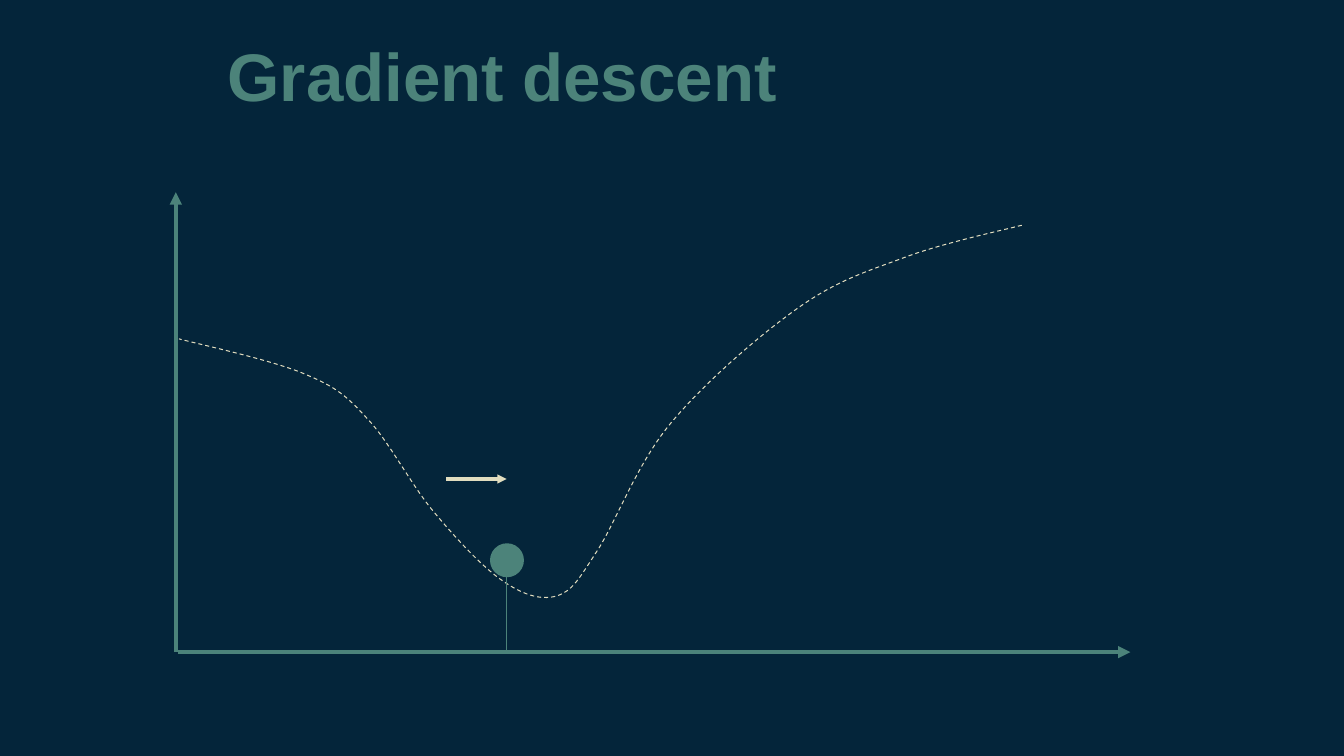
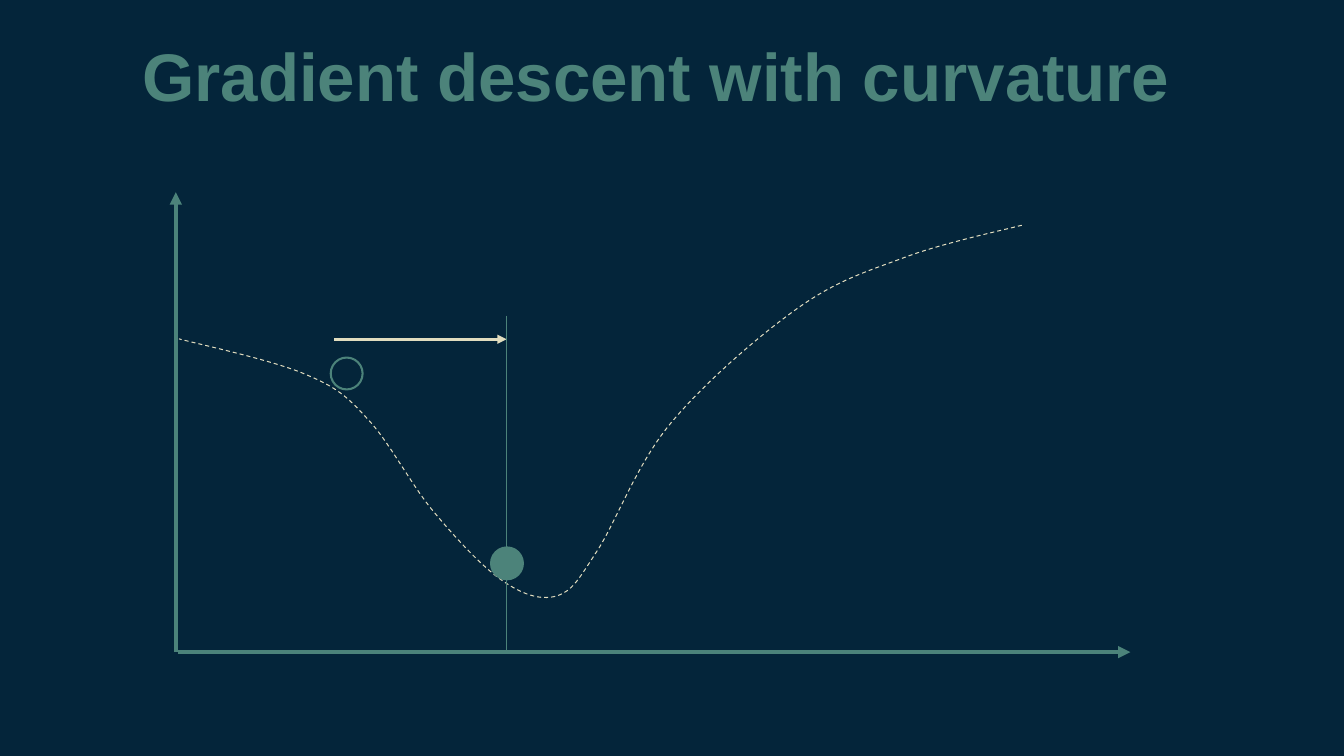
from pptx import Presentation
from pptx.dml.color import RGBColor
from pptx.enum.dml import MSO_LINE
from pptx.enum.shapes import MSO_CONNECTOR, MSO_SHAPE
from pptx.enum.text import MSO_ANCHOR, PP_ALIGN
from pptx.oxml.ns import qn
from pptx.util import Cm, Pt
from lxml.etree import SubElement

NAVY = RGBColor(0x04, 0x25, 0x3A)
TEAL = RGBColor(0x4C, 0x83, 0x7A)
CREAM = RGBColor(0xE1, 0xDD, 0xBF)

TITLE_FONT = {"name": "Arial", "size": Pt(49), "bold": True}
TITLE_FRAME = {
    "margin_left": Cm(0.36),
    "margin_right": Cm(0.36),
    "margin_top": Cm(0.36),
    "margin_bottom": Cm(0),
    "vertical_anchor": MSO_ANCHOR.TOP,
    "word_wrap": True,
}

AXIS_X = 4.52
AXIS_Y = 16.76
STEP_X = 13.02
BALL_SIZE = 0.82

CURVE_START = (26.26, 5.79)
CURVE_SEGMENTS = [
    ((25.76, 5.92), (24.13, 6.27), (23.16, 6.65)),
    ((22.17, 7.01), (21.41, 7.26), (20.42, 7.98)),
    ((19.43, 8.69), (18.06, 9.88), (17.22, 10.9)),
    ((16.36, 11.94), (15.82, 13.44), (15.34, 14.17)),
    ((14.86, 14.91), (14.71, 15.19), (14.3, 15.32)),
    ((13.87, 15.44), (13.39, 15.27), (12.85, 14.88)),
    ((12.32, 14.5), (11.63, 13.74), (11.07, 13.06)),
    ((10.52, 12.37), (9.98, 11.33), (9.45, 10.77)),
    ((8.92, 10.19), (8.66, 9.96), (7.87, 9.63)),
    ((7.06, 9.27), (5.16, 8.86), (4.6, 8.71)),
]


def set_values(target, values):
    for name, value in values.items():
        setattr(target, name, value)


def to_lengths(point):
    return tuple(Cm(value) for value in point)


def add_title(page, text, left, width):
    box = page.shapes.add_textbox(Cm(left), Cm(0.53), Cm(width), Cm(2.16))
    set_values(box.text_frame, TITLE_FRAME)
    para = box.text_frame.paragraphs[0]
    para.alignment = PP_ALIGN.LEFT
    span = para.add_run()
    span.text = text
    set_values(span.font, TITLE_FONT)
    span.font.color.rgb = TEAL


def add_line(page, start, end, color, weight, arrow=False):
    connector = page.shapes.add_connector(
        MSO_CONNECTOR.STRAIGHT, *to_lengths(start + end)
    )
    connector.line.color.rgb = color
    connector.line.width = Pt(weight)
    properties = connector._element.spPr
    if arrow:
        SubElement(properties.find(qn("a:ln")), qn("a:tailEnd"), type="triangle")
    SubElement(properties, qn("a:effectLst"))


def add_axes(page):
    add_line(page, (AXIS_X, AXIS_Y), (AXIS_X, 4.94), TEAL, 3, arrow=True)
    add_line(page, (4.57, AXIS_Y), (29.05, AXIS_Y), TEAL, 3, arrow=True)


def bend_segments(curve, segments):
    lines = list(curve._element.iter(qn("a:lnTo")))
    for line, segment in zip(lines, segments):
        outline = line.getparent()
        bend = SubElement(outline, qn("a:cubicBezTo"))
        for x, y in map(to_lengths, segment):
            SubElement(
                bend, qn("a:pt"), x=str(x - curve.left), y=str(y - curve.top)
            )
        outline.replace(line, bend)


def add_curve(page):
    builder = page.shapes.build_freeform(*to_lengths(CURVE_START))
    ends = [to_lengths(segment[-1]) for segment in CURVE_SEGMENTS]
    builder.add_line_segments(ends, close=False)
    curve = builder.convert_to_shape()
    bend_segments(curve, CURVE_SEGMENTS)
    curve.shadow.inherit = False
    curve.fill.background()
    curve.line.color.rgb = CREAM
    set_values(curve.line, {"width": Pt(0.75), "dash_style": MSO_LINE.DASH})


def add_ball(page, left, top, filled=True):
    ball = page.shapes.add_shape(
        MSO_SHAPE.OVAL, Cm(left), Cm(top), Cm(BALL_SIZE), Cm(BALL_SIZE)
    )
    ball.shadow.inherit = False
    if filled:
        ball.fill.solid()
        ball.fill.fore_color.rgb = TEAL
    else:
        ball.fill.background()
    ball.line.color.rgb = TEAL
    ball.line.width = Pt(1.5)


def add_plot_page(deck, title, left, width):
    page = deck.slides.add_slide(deck.slide_layouts[6])
    add_title(page, title, left, width)
    add_axes(page)
    add_curve(page)
    return page


def main():
    deck = Presentation()
    set_values(deck, {"slide_width": Cm(34.54), "slide_height": Cm(19.43)})
    background = deck.slide_master.background.fill
    background.solid()
    background.fore_color.rgb = NAVY

    page = add_plot_page(deck, "Gradient descent", 5.49, 21.06)
    add_line(page, (11.47, 12.31), (STEP_X, 12.31), CREAM, 2.25, arrow=True)
    add_line(page, (STEP_X, 14), (STEP_X, 16.71), TEAL, 0.75)
    add_ball(page, 12.62, 13.99)

    page = add_plot_page(deck, "Gradient descent with curvature", 3.3, 28.65)
    add_ball(page, 8.5, 9.19, filled=False)
    add_ball(page, 12.62, 14.07)
    add_line(page, (8.59, 8.72), (STEP_X, 8.72), CREAM, 2.25, arrow=True)
    add_line(page, (STEP_X, 8.11), (STEP_X, AXIS_Y), TEAL, 0.75)

    deck.save("out.pptx")


if __name__ == "__main__":
    main()
